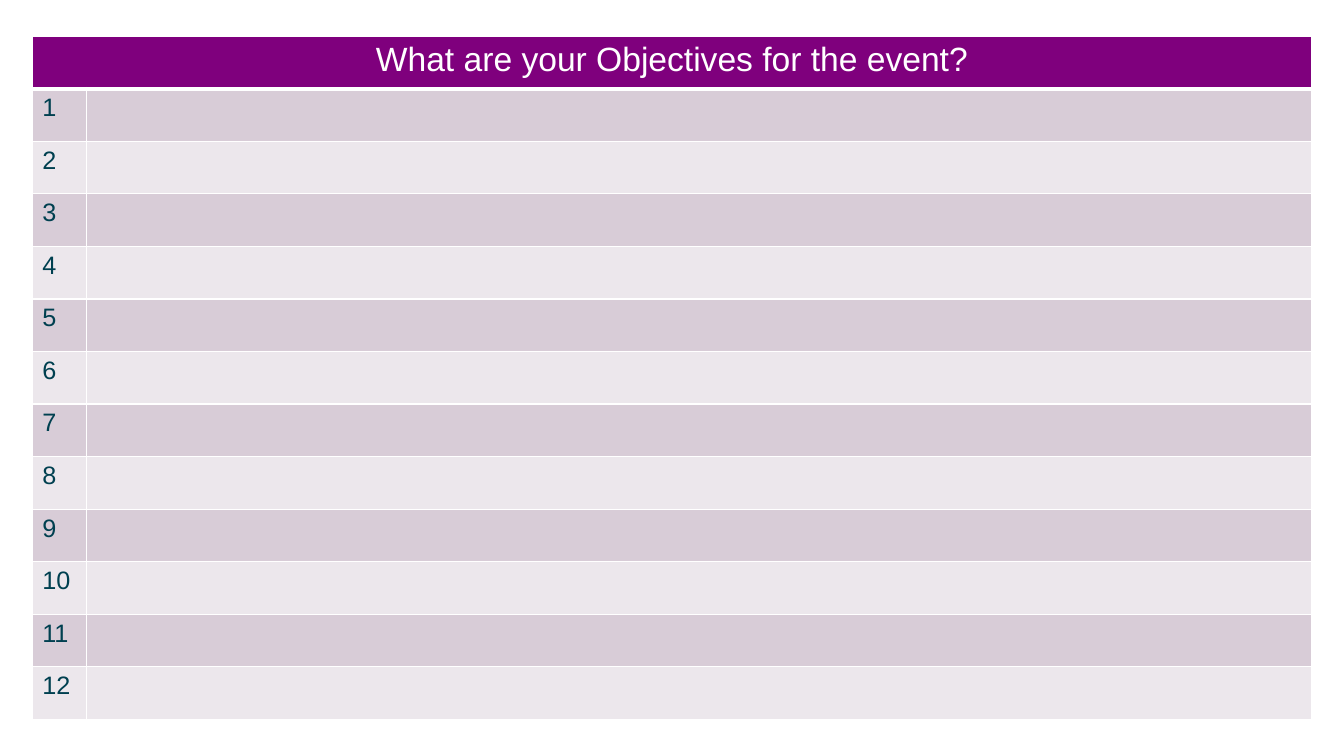
import dataclasses

import pptx
import pptx.dml.color
import pptx.enum.text
import pptx.oxml
import pptx.oxml.ns
import pptx.table
import pptx.util

Inches = pptx.util.Inches
PP_ALIGN = pptx.enum.text.PP_ALIGN

COLORS = {
    "header": "7F007D",
    "odd_row": "D8CCD7",
    "even_row": "ECE7EC",
    "number": "004050",
    "white": "FFFFFF",
}
OBJECTIVE_COUNT = 12
LEFT, TOP, HEIGHT = 0.32, 0.36, 6.78
COLUMN_WIDTHS = (0.54, 12.15)


@dataclasses.dataclass(frozen=True)
class ObjectiveRow:
    number: int

    @property
    def fill(self) -> str:
        return COLORS["odd_row" if self.number % 2 else "even_row"]


def rgb(hex_color: str) -> pptx.dml.color.RGBColor:
    return pptx.dml.color.RGBColor.from_string(hex_color)


def write_text(cell: pptx.table._Cell, text: str, *, size: float, color: str,
               align: PP_ALIGN = PP_ALIGN.LEFT) -> None:
    paragraph = cell.text_frame.paragraphs[0]
    paragraph.alignment = align
    run = paragraph.add_run()
    run.text = text
    run.font.name = "Arial"
    run.font.size = pptx.util.Pt(size)
    run.font.bold = False
    run.font.color.rgb = rgb(color)


def style_cell(cell: pptx.table._Cell, fill: str, bottom_width: float = 1) -> None:
    """Fill the cell and rule its four sides in white."""
    cell.fill.solid()
    cell.fill.fore_color.rgb = rgb(fill)
    properties = cell._tc.get_or_add_tcPr()
    side_widths = {"L": 1, "R": 1, "T": 1, "B": bottom_width}
    for position, (side, width) in enumerate(side_widths.items()):
        border = pptx.oxml.parse_xml(
            f'<a:ln{side} {pptx.oxml.ns.nsdecls("a")} w="{pptx.util.Pt(width)}">'
            f'<a:solidFill><a:srgbClr val="{COLORS["white"]}"/></a:solidFill>'
            f'</a:ln{side}>'
        )
        properties.insert(position, border)


def main() -> None:
    presentation = pptx.Presentation()
    presentation.slide_width = Inches(13.33)
    presentation.slide_height = Inches(7.5)
    slide = presentation.slides.add_slide(presentation.slide_layouts[6])

    objectives = slide.shapes.add_table(
        OBJECTIVE_COUNT + 1, len(COLUMN_WIDTHS),
        Inches(LEFT), Inches(TOP), Inches(sum(COLUMN_WIDTHS)), Inches(HEIGHT),
    ).table
    for column, width in zip(objectives.columns, COLUMN_WIDTHS):
        column.width = Inches(width)

    header = objectives.cell(0, 0)
    header.merge(objectives.cell(0, 1))
    for column in range(len(COLUMN_WIDTHS)):
        style_cell(objectives.cell(0, column), COLORS["header"], bottom_width=3)
    write_text(header, "What are your Objectives for the event?",
               size=24, color=COLORS["white"], align=PP_ALIGN.CENTER)

    for objective in map(ObjectiveRow, range(1, OBJECTIVE_COUNT + 1)):
        for column in range(len(COLUMN_WIDTHS)):
            style_cell(objectives.cell(objective.number, column), objective.fill)
        write_text(objectives.cell(objective.number, 0), str(objective.number),
                   size=18, color=COLORS["number"])

    presentation.save("out.pptx")


if __name__ == "__main__":
    main()
